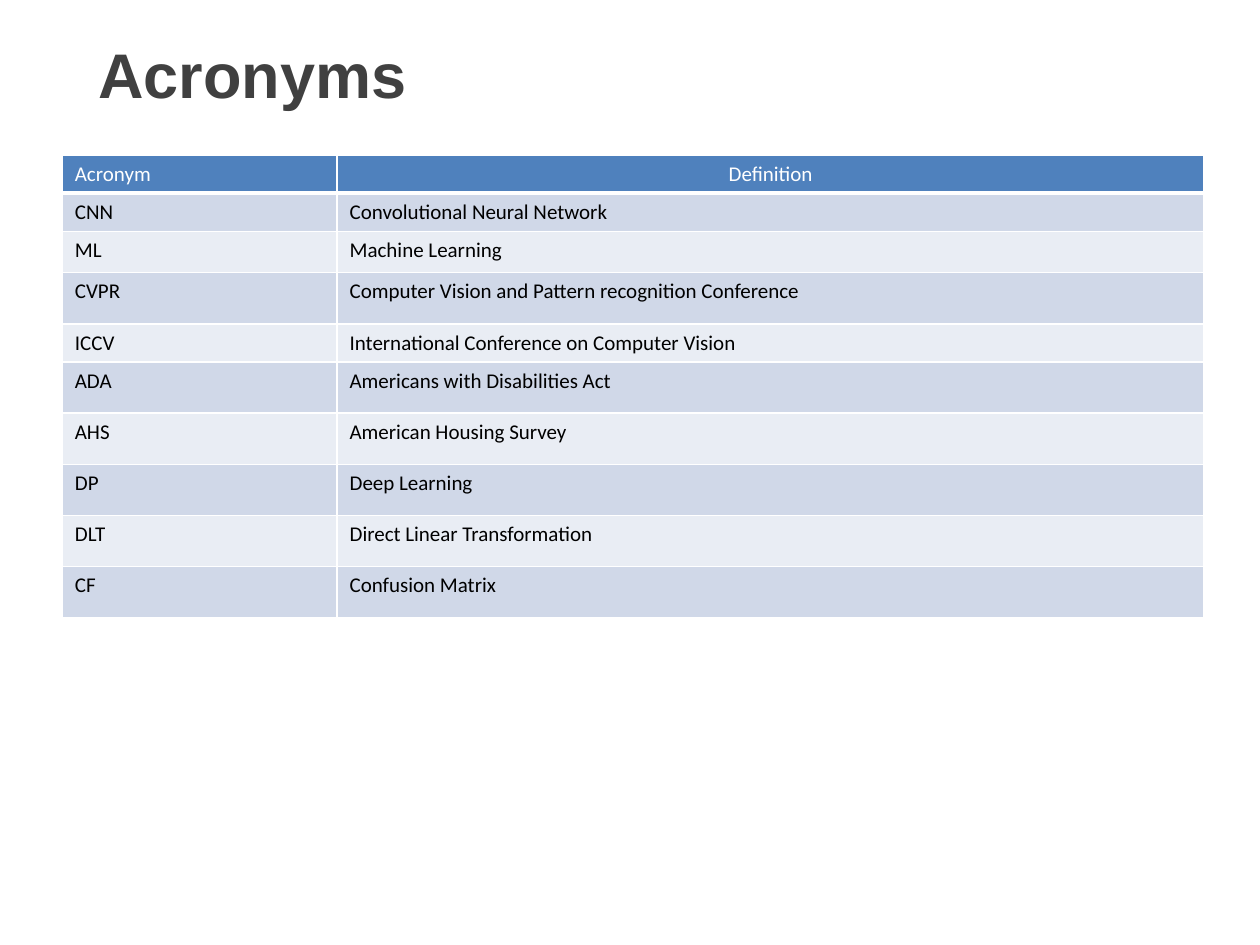
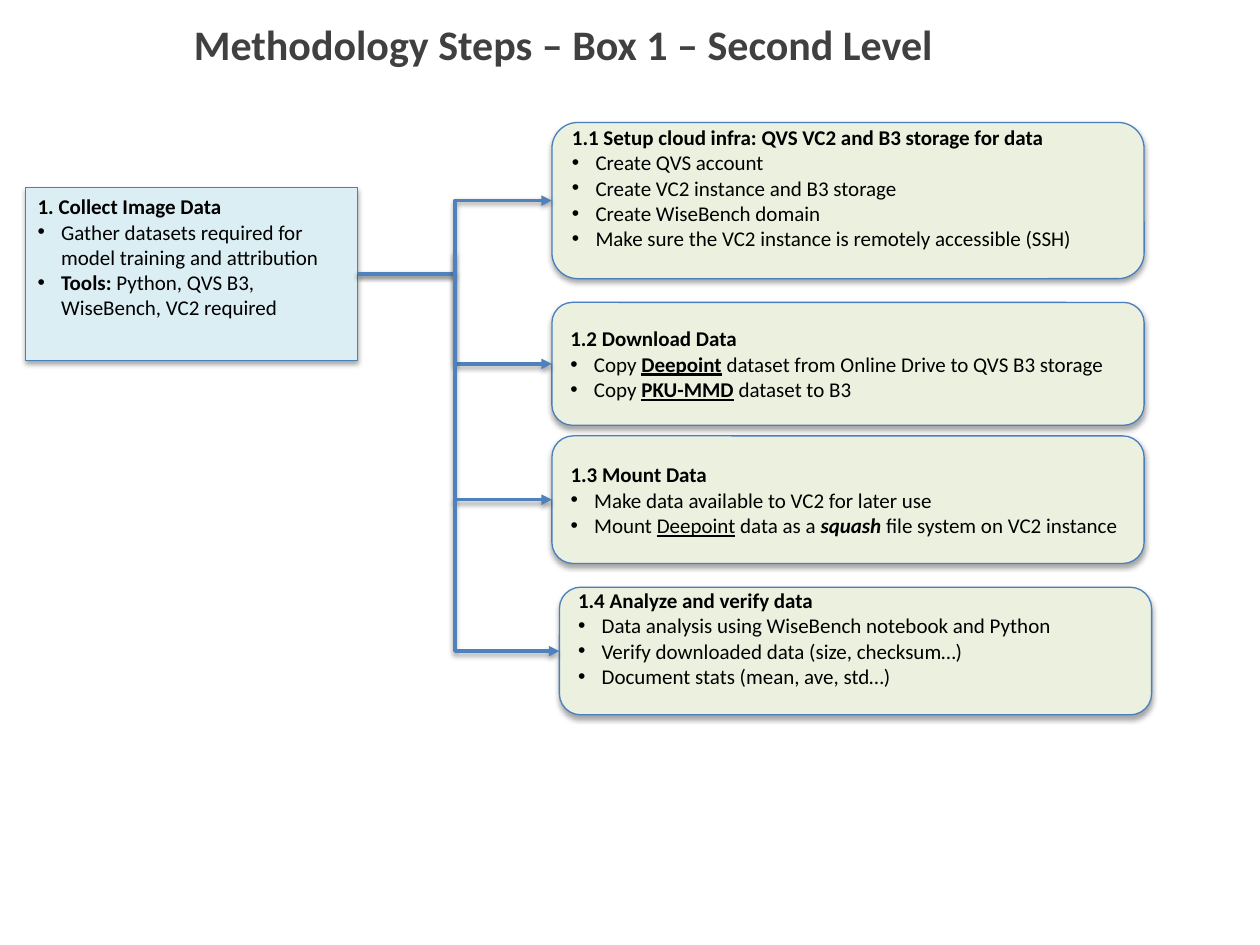
from dataclasses import dataclass

from lxml import etree
from pptx import Presentation
from pptx.dml.color import RGBColor
from pptx.enum.shapes import MSO_CONNECTOR as Link, MSO_SHAPE as Shape
from pptx.enum.text import MSO_ANCHOR as Anchor, PP_ALIGN as Align
from pptx.oxml.ns import qn
from pptx.util import Pt


@dataclass(frozen=True)
class Theme:
    title: str = "404040"
    text: str = "000000"
    white: str = "FFFFFF"
    header: str = "4F81BD"
    bands: tuple = ("D0D8E8", "E9EDF4")
    source: str = "DBEEF4"
    card: str = "EBF1DE"
    outline: str = "4B7EBC"
    arrow: str = "4F81BD"
    body_font: str = "Calibri"
    title_font: str = "Arial"
    body_size: int = 12
    title_size: int = 36
    subtitle_size: int = 24


THEME = Theme()
BOLD = {"bold": True}
KEY = {"bold": True, "underline": True}
UNDERLINE = {"underline": True}
BOLD_ITALIC = {"bold": True, "italic": True}
INSET = 3.6
LINE_HEIGHT = 14.65

ACRONYMS = [
    ("CNN", "Convolutional Neural Network"),
    ("ML", "Machine Learning"),
    ("CVPR", "Computer Vision and Pattern recognition Conference"),
    ("ICCV", "International Conference on Computer Vision"),
    ("ADA", "Americans with Disabilities Act"),
    ("AHS", "American Housing Survey"),
    ("DP", "Deep Learning"),
    ("DLT", "Direct Linear Transformation"),
    ("CF", "Confusion Matrix"),
]
COLUMN_WIDTHS = (157, 495.5)
ROW_HEIGHTS = (21.2, 22, 23.5, 29.2, 21.8, 29.2, 29.2, 29.2, 29.2, 29.2)

# Each bullet is a list of (text, format) runs.
COLLECT = ("1. Collect Image Data", [
    [("Gather datasets required for model training and attribution", {})],
    [("Tools:", BOLD), (" Python, QVS B3, WiseBench, VC2 required", {})],
])
# left, top, height, lines kept free below the text, heading, bullets
STEPS = [
    (315.4, 70, 89.3, 1, "1.1 Setup cloud infra: QVS VC2 and B3 storage for data", [
        [("Create QVS account", {})],
        [("Create VC2 instance and B3 storage", {})],
        [("Create WiseBench domain", {})],
        [("Make sure the VC2 instance is remotely accessible (SSH)", {})],
    ]),
    (315.4, 172.8, 70.2, 0, "1.2 Download Data", [
        [("Copy ", {}), ("Deepoint", KEY),
         (" dataset from Online Drive to QVS B3 storage", {})],
        [("Copy ", {}), ("PKU-MMD", KEY), (" dataset to B3", {})],
    ]),
    (315.4, 249.1, 72.9, 0, "1.3 Mount Data", [
        [("Make data available to VC2 for later use", {})],
        [("Mount ", {}), ("Deepoint", UNDERLINE), (" data as a ", {}),
         ("squash", BOLD_ITALIC), (" file system on VC2 instance", {})],
    ]),
    (319.7, 335.6, 72.9, 1, "1.4 Analyze and verify data", [
        [("Data analysis using WiseBench notebook and Python", {})],
        [("Verify downloaded data (size, checksum…)", {})],
        [("Document stats (mean, ave, std…)", {})],
    ]),
]
STEP_WIDTH = 338.4
TRUNK_X, TRUNK_TOP = 260, 144


def rgb(value):
    return RGBColor.from_string(value)


def child(parent, tag, **attributes):
    return etree.SubElement(parent, qn(tag), attributes)


def add_run(paragraph, text, color=THEME.text, **formats):
    run = paragraph.add_run()
    run.text = text
    values = {"name": THEME.body_font, "size": Pt(THEME.body_size), **formats}
    for key, value in values.items():
        setattr(run.font, key, value)
    run.font.color.rgb = rgb(color)


def add_title(slide, text, left, top, width, height, inset_top=INSET, **formats):
    box = slide.shapes.add_textbox(Pt(left), Pt(top), Pt(width), Pt(height))
    box.text_frame.word_wrap = True
    box.text_frame.margin_top = Pt(inset_top)
    add_run(box.text_frame.paragraphs[0], text, THEME.title, bold=True, **formats)


def add_shadow(properties, opacity, distance):
    """Put a soft shadow straight below a shape or connector."""
    effects = properties.find(qn("a:effectLst"))
    if effects is None:
        effects = child(properties, "a:effectLst")
    shadow = child(effects, "a:outerShdw", blurRad=str(Pt(3.1)),
                   dist=str(Pt(distance)), dir="5400000", rotWithShape="0")
    color = child(shadow, "a:srgbClr", val="000000")
    child(color, "a:alpha", val=str(opacity * 1000))


def style_cell(cell, text, fill, color, bottom=1):
    properties = cell._tc.get_or_add_tcPr()
    for side, width in zip("LRTB", (1, 1, 1, bottom)):
        border = child(properties, f"a:ln{side}", w=str(Pt(width)))
        child(child(border, "a:solidFill"), "a:srgbClr", val=THEME.white)
    cell.fill.solid()
    cell.fill.fore_color.rgb = rgb(fill)
    add_run(cell.text_frame.paragraphs[0], text, color)


def add_acronym_table(slide):
    table = slide.shapes.add_table(
        len(ROW_HEIGHTS), len(COLUMN_WIDTHS), Pt(35.6), Pt(88.5),
        Pt(sum(COLUMN_WIDTHS)), Pt(sum(ROW_HEIGHTS))).table
    for column, width in zip(table.columns, COLUMN_WIDTHS):
        column.width = Pt(width)
    for row, height in zip(table.rows, ROW_HEIGHTS):
        row.height = Pt(height)
    for cell, heading in zip(table.rows[0].cells, ("Acronym", "Definition")):
        style_cell(cell, heading, THEME.header, THEME.white, bottom=3)
    table.cell(0, 1).text_frame.paragraphs[0].alignment = Align.CENTER
    for index, entry in enumerate(ACRONYMS):
        for cell, text in zip(table.rows[index + 1].cells, entry):
            style_cell(cell, text, THEME.bands[index % 2], THEME.text)


def add_step(slide, kind, left, top, width, height, fill, heading, bullets,
             anchor=Anchor.MIDDLE, free_lines=0):
    step = slide.shapes.add_shape(kind, Pt(left), Pt(top), Pt(width), Pt(height))
    step.shadow.inherit = False
    step.fill.solid()
    step.fill.fore_color.rgb = rgb(fill)
    step.line.color.rgb = rgb(THEME.outline)
    step.line.width = Pt(0.75)
    add_shadow(step._element.spPr, 35, 1.8)

    frame = step.text_frame
    frame.word_wrap = True
    frame.vertical_anchor = anchor
    frame.margin_bottom = Pt(INSET + free_lines * LINE_HEIGHT)
    first = frame.paragraphs[0]
    first.alignment = Align.LEFT
    add_run(first, heading, bold=True)
    for runs in bullets:
        paragraph = frame.add_paragraph()
        paragraph.alignment = Align.LEFT
        properties = paragraph._p.get_or_add_pPr()
        properties.set("marL", str(Pt(13.5)))
        properties.set("indent", str(-Pt(13.5)))
        child(properties, "a:buFont", typeface="Arial")
        child(properties, "a:buChar", char="•")
        for text, formats in runs:
            add_run(paragraph, text, **formats)
    return step


def add_elbow(slide, *ends):
    elbow = slide.shapes.add_connector(Link.ELBOW, *(Pt(end) for end in ends))
    elbow.line.color.rgb = rgb(THEME.arrow)
    elbow.line.width = Pt(2)
    child(elbow.line._get_or_add_ln(), "a:tailEnd", type="triangle")
    add_shadow(elbow._element.spPr, 38, 1.6)
    return elbow


def add_branch(slide, source, step):
    """Run from the source's right side to the step's left side."""
    branch = add_elbow(slide, 0, 0, 1, 1)
    branch.begin_connect(source, 3)
    branch.end_connect(step, 1)


def add_drop(slide, x, top, end_x, end_y):
    """Go down from (x, top), then right: a one-bend elbow turned by 270 degrees."""
    half_drop, half_reach = (end_y - top) / 2, (end_x - x) / 2
    middle_x, middle_y = x + half_reach, top + half_drop
    drop = add_elbow(slide, middle_x + half_drop, middle_y - half_reach,
                     middle_x - half_drop, middle_y + half_reach)
    properties = drop._element.spPr
    properties.find(qn("a:xfrm")).set("rot", str(270 * 60000))
    properties.find(qn("a:prstGeom")).set("prst", "bentConnector2")


def build_acronyms(slide):
    add_acronym_table(slide)
    add_title(slide, "Acronyms", 49, 13, 610.6, 49, inset_top=7.2,
              name=THEME.title_font, size=Pt(THEME.title_size))


def build_methodology(slide):
    add_title(slide, "Methodology Steps – Box 1 – Second Level",
              103.7, 7.2, 610.6, 58.3, size=Pt(THEME.subtitle_size))
    source = add_step(slide, Shape.RECTANGLE, 14.4, 107.3, 190.1, 98.6,
                      THEME.source, *COLLECT, anchor=Anchor.TOP)
    steps = [
        add_step(slide, Shape.ROUNDED_RECTANGLE, left, top, STEP_WIDTH, height,
                 THEME.card, heading, bullets, free_lines=free_lines)
        for left, top, height, free_lines, heading, bullets in STEPS
    ]
    for step in steps[:2]:
        add_branch(slide, source, step)
    drop_top = TRUNK_TOP
    for left, top, height, *_ in STEPS[2:]:
        middle = top + height / 2
        add_drop(slide, TRUNK_X, drop_top, left, middle)
        drop_top = middle


def main():
    deck = Presentation()
    deck.slide_width, deck.slide_height = Pt(720), Pt(540)
    blank = deck.slide_layouts[6]
    for build in (build_acronyms, build_methodology):
        build(deck.slides.add_slide(blank))
    deck.save("out.pptx")


if __name__ == "__main__":
    main()
